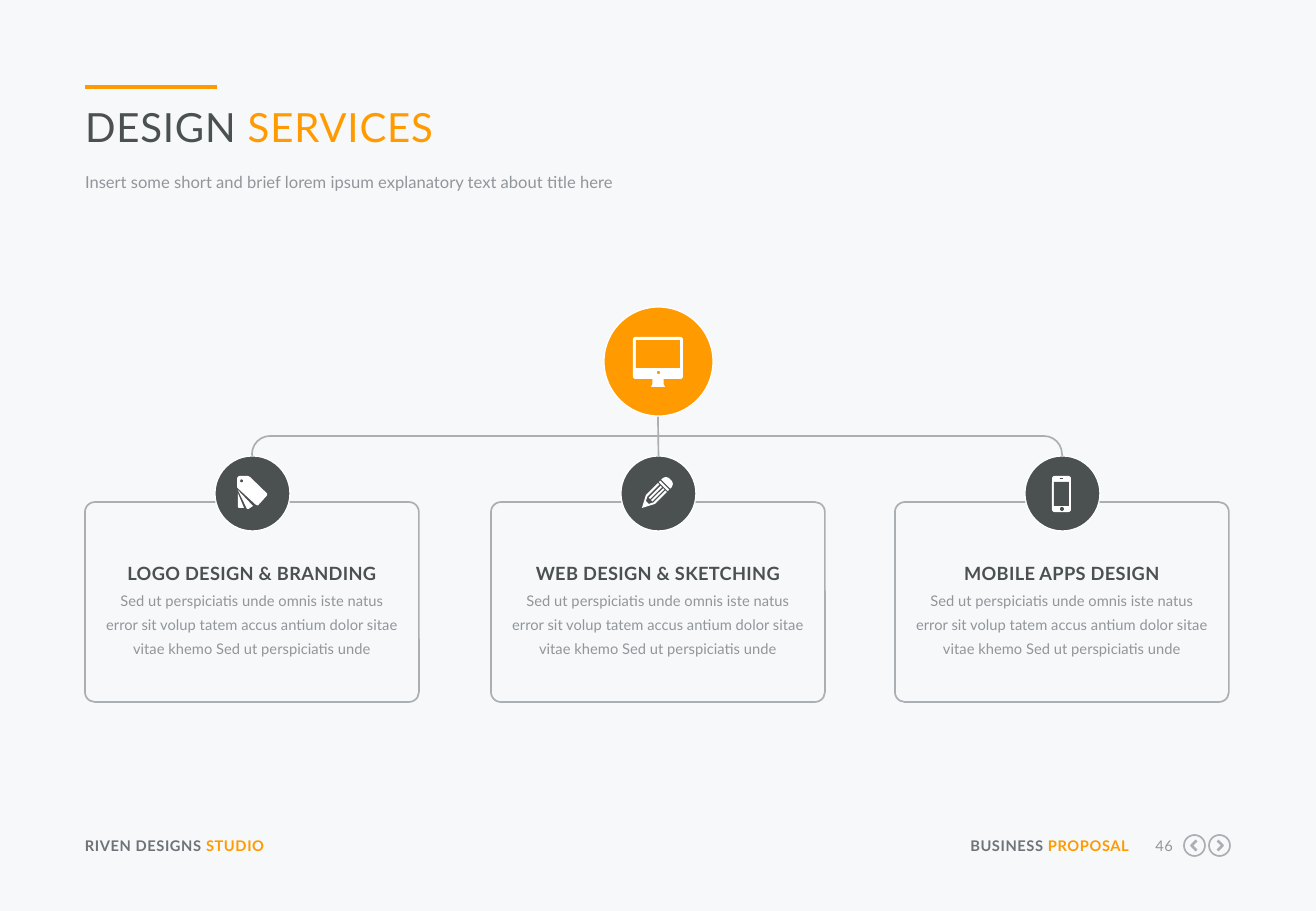
"""Build the design services slide: a hub linked to three service cards."""
from lxml import etree
from pptx import Presentation
from pptx.dml.color import RGBColor
from pptx.enum.shapes import MSO_CONNECTOR, MSO_SHAPE
from pptx.enum.text import PP_ALIGN
from pptx.oxml.ns import qn
from pptx.util import Pt

PX = 7526
STRAIGHT = MSO_CONNECTOR.STRAIGHT
ARC, OVAL = MSO_SHAPE.ARC, MSO_SHAPE.OVAL
RECT, ROUND = MSO_SHAPE.RECTANGLE, MSO_SHAPE.ROUNDED_RECTANGLE
LEFT, CENTER, RIGHT = PP_ALIGN.LEFT, PP_ALIGN.CENTER, PP_ALIGN.RIGHT

PAPER = RGBColor(0xF6, 0xF8, 0xFA)
ORANGE = RGBColor(0xFF, 0x9B, 0x00)
DARK = RGBColor(0x4B, 0x50, 0x50)
SLATE = RGBColor(0x6E, 0x73, 0x78)
GRAY = RGBColor(0x91, 0x96, 0x9B)
RULE = RGBColor(0xAA, 0xAF, 0xB4)
WHITE = RGBColor(0xFF, 0xFF, 0xFF)

FONT = "Lato"
BODY = ("Sed ut perspiciatis unde omnis iste natus error sit volup tatem accus "
        "antium dolor sitae vitae khemo Sed ut perspiciatis unde")
CARD_W, CARD_H, CARD_Y = 334, 200, 502
BADGE, BADGE_Y = 75, 456
HUB, HUB_X, HUB_Y = 109, 658, 307
RAIL_Y, BEND = 436, 36


def paint(shape, fill=None, line=None, width=1):
    """Set fill, outline and shadow of a shape."""
    shape.shadow.inherit = False
    if fill is None:
        shape.fill.background()
    else:
        shape.fill.solid()
        shape.fill.fore_color.rgb = fill
    if line is None:
        shape.line.fill.background()
    else:
        shape.line.color.rgb = line
        shape.line.width = Pt(width)


def add_preset(s, kind, x, y, w, h, fill=None, line=None, width=1, adj=()):
    """Add a preset shape."""
    sp = s.shapes.add_shape(kind, x * PX, y * PX, w * PX, h * PX)
    for i, value in enumerate(adj):
        sp.adjustments[i] = value
    paint(sp, fill, line, width)
    return sp


def add_outline(s, x, y, contours, fill=None, line=None, width=1):
    """Add a freeform from contours given in tenths of a px from x, y."""
    first, *others = contours
    fb = s.shapes.build_freeform(*first[0], scale=PX / 10)
    fb.add_line_segments(first[1:], close=fill is not None)
    for contour in others:
        fb.move_to(*contour[0])
        fb.add_line_segments(contour[1:])
    paint(fb.convert_to_shape(x * PX, y * PX), fill, line, width)


def add_line(s, x1, y1, x2, y2, color=RULE, width=1):
    """Add a straight connector."""
    c = s.shapes.add_connector(STRAIGHT, x1 * PX, y1 * PX, x2 * PX, y2 * PX)
    c.line.color.rgb = color
    c.line.width = Pt(width)
    etree.SubElement(c._element.spPr, qn("a:effectLst"))
    return c


def add_text(s, x, y, w, h, runs, size, align=LEFT, bold=False, spc=0, leading=None):
    """Add a one-paragraph text box from (text, colour) runs."""
    tf = s.shapes.add_textbox(x * PX, y * PX, w * PX, h * PX).text_frame
    tf.margin_left = tf.margin_right = tf.margin_top = tf.margin_bottom = 0
    tf.word_wrap = True
    p = tf.paragraphs[0]
    p.alignment = align
    if leading:
        p.line_spacing = Pt(leading)
    p.font.name = FONT
    p.font.size = Pt(size)
    p.font.bold = bold
    p._p.get_or_add_pPr().get_or_add_defRPr().set("spc", str(spc))
    for text, color in runs:
        r = p.add_run()
        r.text = text
        r.font.color.rgb = color


def draw_monitor(s, x, y):
    """Draw a desktop screen icon."""
    add_preset(s, ROUND, x, y, 50, 42, WHITE, adj=[0.06])
    add_preset(s, RECT, x + 3, y + 3, 44, 28, ORANGE)
    add_preset(s, OVAL, x + 24, y + 34, 3, 3, ORANGE)
    stand = [(195, 415), (305, 415), (305, 470), (320, 500), (180, 500), (195, 470)]
    add_outline(s, x, y, [stand], WHITE)


def draw_swatches(s, cx):
    """Draw a fan of colour swatches."""
    tag = [(0, 110), (0, 20), (20, 0), (110, 0), (130, 10), (300, 175),
           (300, 195), (210, 295), (190, 290), (5, 120)]
    hole = [(45, 33), (60, 40), (63, 50), (58, 62), (45, 65), (33, 60), (30, 50), (35, 38)]
    middle = [(8, 140), (160, 300), (115, 330), (100, 330)]
    back = [(8, 170), (70, 320), (20, 320), (8, 310)]
    add_outline(s, cx - 15, 476, [tag, hole, middle, back], WHITE)


def draw_pencil(s, cx):
    """Draw a slanted pencil."""
    body = [(0, 320), (40, 190), (160, 70), (175, 85), (55, 205), (40, 250),
            (70, 280), (115, 265), (235, 145), (250, 160), (130, 280)]
    stripes = [[(d, d + 150), (d + 120, d + 30), (d + 133, d + 43), (d + 13, d + 163)]
               for d in (68, 92)]
    band = [(168, 62), (183, 47), (273, 137), (258, 152)]
    eraser = [(193, 37), (210, 20), (240, 10), (270, 20), (300, 50),
              (310, 80), (300, 110), (283, 127)]
    add_outline(s, cx - 16, 476, [body, *stripes, band, eraser], WHITE)


def draw_phone(s, cx):
    """Draw a mobile phone."""
    add_preset(s, ROUND, cx - 10, 476, 19, 36, WHITE, adj=[0.13])
    add_preset(s, RECT, cx - 8, 482, 15, 24, DARK)
    add_preset(s, OVAL, cx - 2, 507, 4, 4, DARK)
    add_preset(s, RECT, cx - 2, 478, 3, 1, DARK)


def add_card(s, cx, title, draw_icon):
    """Add a service card with its badge, heading and text; return the badge."""
    add_preset(s, ROUND, cx - CARD_W // 2, CARD_Y, CARD_W, CARD_H, line=RULE, adj=[0.05])
    badge = add_preset(s, OVAL, cx - BADGE // 2, BADGE_Y, BADGE, BADGE, DARK, WHITE, 0.75)
    draw_icon(s, cx)
    add_text(s, cx - 146, 553, 292, 30, [(title, DARK)], 10.8, CENTER, True, 20, 18.4)
    add_text(s, cx - 146, 586, 292, 72, [(BODY, GRAY)], 8.7, CENTER, leading=14.1)
    return badge


def add_nav_button(s, x, chevron):
    """Add a round navigation button."""
    add_preset(s, OVAL, x, 835, 21, 21, line=RULE)
    add_outline(s, x, 835, [chevron], line=RULE, width=1.5)


def add_header(s):
    """Add the accent line, title and subtitle."""
    add_line(s, 85, 87, 217, 87, ORANGE, 2.25)
    add_text(s, 85, 102, 1145, 50, [("DESIGN", DARK), (" SERVICES", ORANGE)], 23.8, spc=50)
    subtitle = "Insert some short and brief lorem ipsum explanatory text about title here"
    add_text(s, 85, 170, 1145, 26, [(subtitle, GRAY)], 9.8, leading=13)


def add_footer(s):
    """Add the footer texts and navigation buttons."""
    add_text(s, 85, 837, 256, 18, [("RIVEN DESIGNS ", SLATE), ("STUDIO", ORANGE)],
             8.7, bold=True, spc=30)
    add_text(s, 962, 837, 167, 18, [("BUSINESS ", SLATE), ("PROPOSAL", ORANGE)],
             8.7, RIGHT, True, 30)
    add_text(s, 1143, 837, 30, 18, [("46", GRAY)], 8.7, RIGHT, spc=30)
    add_nav_button(s, 1184, [(125, 55), (75, 105), (125, 155)])
    add_nav_button(s, 1209, [(85, 55), (135, 105), (85, 155)])


def add_tree(s):
    """Add the hub, the cards and the lines between them."""
    services = [(252, "LOGO DESIGN & BRANDING", draw_swatches),
                (658, "WEB DESIGN & SKETCHING", draw_pencil),
                (1062, "MOBILE APPS DESIGN", draw_phone)]
    left, right = services[0][0], services[-1][0]
    half = BEND // 2
    add_preset(s, ARC, left, RAIL_Y, BEND, BEND, line=RULE, adj=[108, 162])
    add_preset(s, ARC, right - BEND, RAIL_Y, BEND, BEND, line=RULE)
    add_line(s, left + half, RAIL_Y, right - half, RAIL_Y)
    for cx, title, draw_icon in services:
        badge = add_card(s, cx, title, draw_icon)
        top = HUB_Y + HUB if cx == HUB_X else RAIL_Y + half
        add_line(s, cx, top, cx, BADGE_Y).end_connect(badge, 0)
    add_preset(s, OVAL, HUB_X - HUB // 2, HUB_Y, HUB, HUB, ORANGE, WHITE, 0.75)
    draw_monitor(s, HUB_X - 25, 337)


def main():
    """Build and save the slide."""
    prs = Presentation()
    prs.slide_width, prs.slide_height = 1316 * PX, 911 * PX
    s = prs.slides.add_slide(prs.slide_layouts[6])
    s.background.fill.solid()
    s.background.fill.fore_color.rgb = PAPER
    add_header(s)
    add_tree(s)
    add_footer(s)
    prs.save("out.pptx")


if __name__ == "__main__":
    main()
